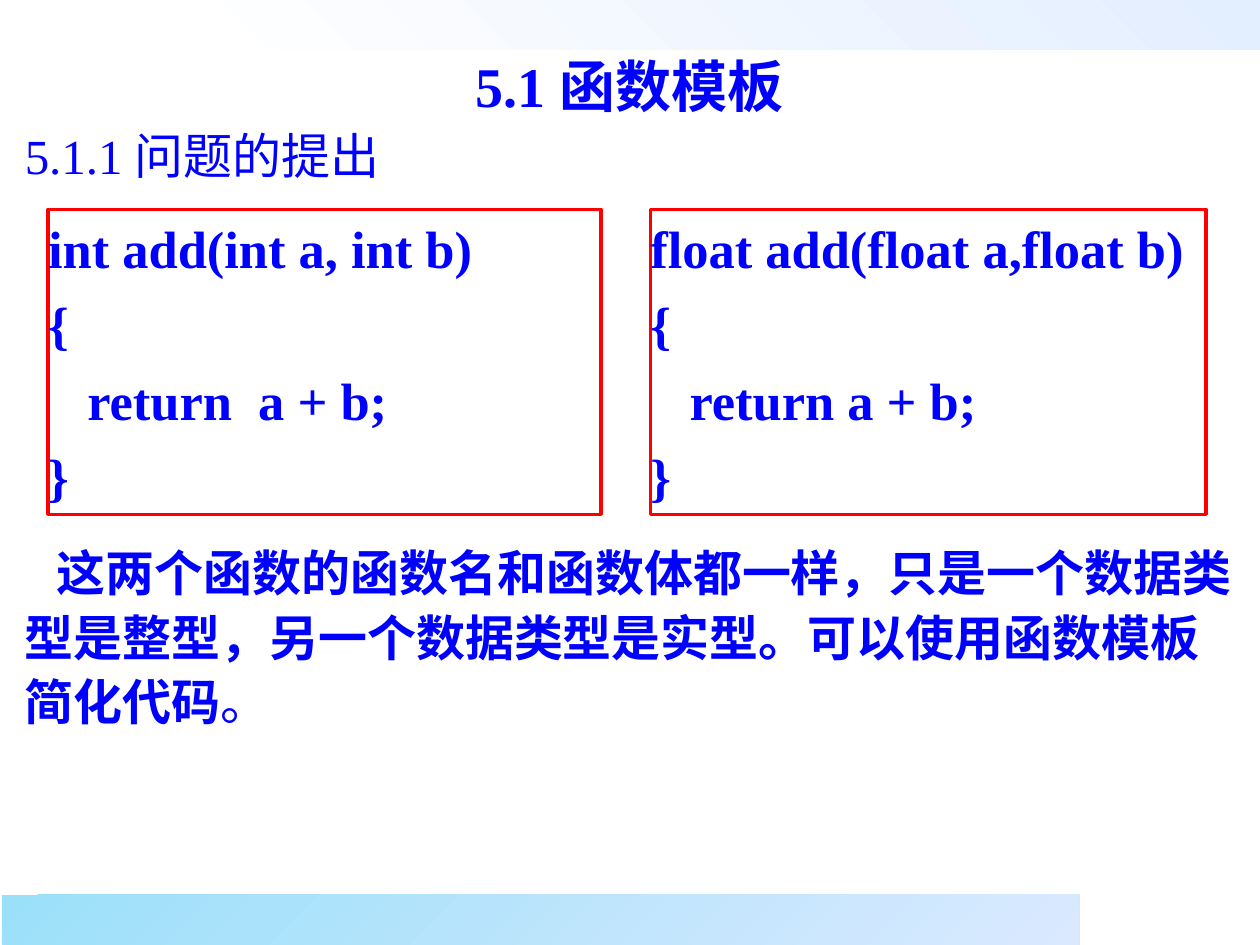
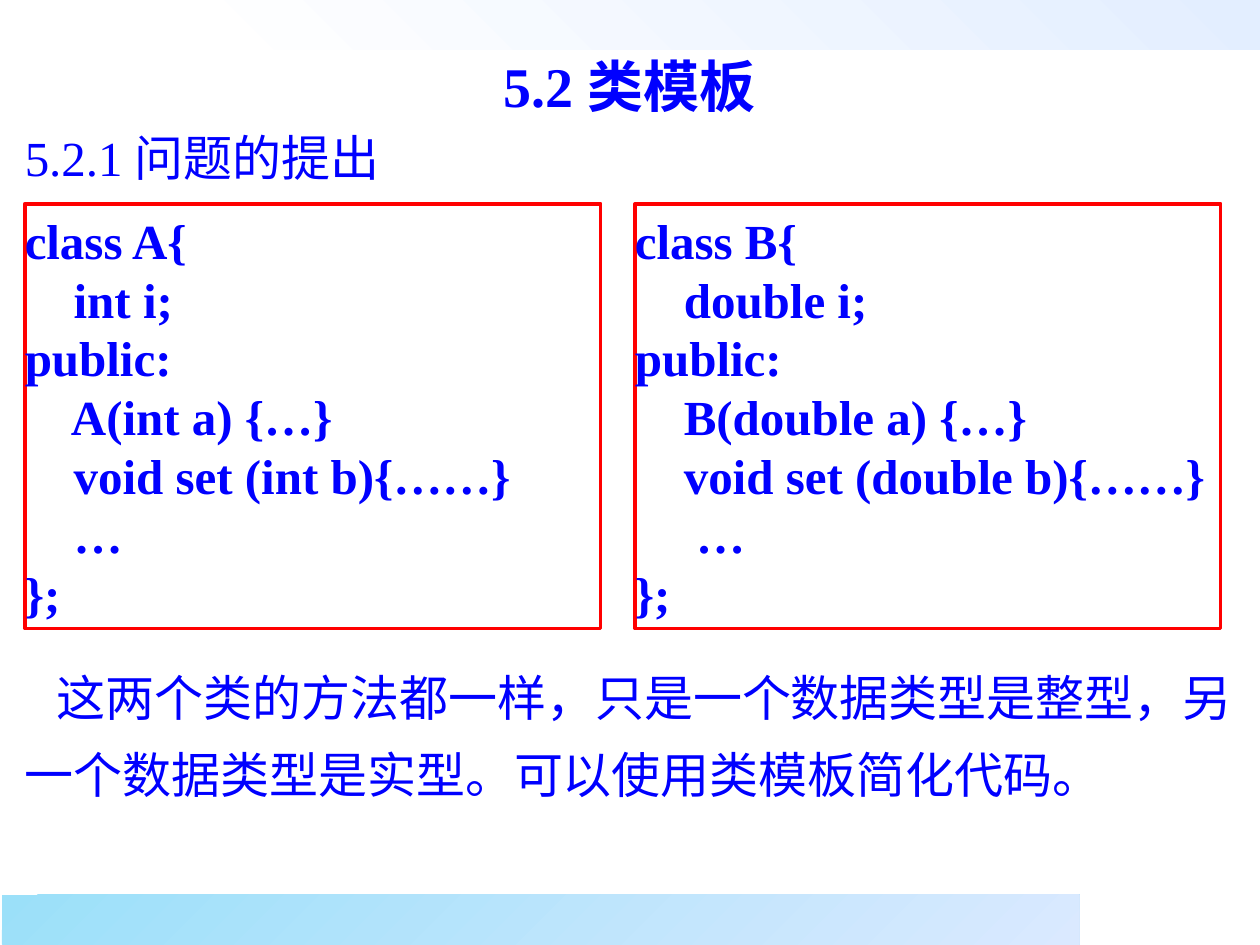
"""Build two lecture slides that motivate function templates and class templates."""
from lxml import etree
from pptx import Presentation
from pptx.dml.color import RGBColor
from pptx.enum.shapes import MSO_SHAPE
from pptx.enum.text import MSO_ANCHOR, PP_ALIGN
from pptx.oxml.ns import qn
from pptx.util import Cm, Pt

RECTANGLE = MSO_SHAPE.RECTANGLE
TOP, MIDDLE = MSO_ANCHOR.TOP, MSO_ANCHOR.MIDDLE
LEFT, CENTER = PP_ALIGN.LEFT, PP_ALIGN.CENTER
BLUE, RED = "0000FF", "FF0000"
SERIF, SANS = "Times New Roman", "Noto Sans CJK SC"
BANDS = [
    (3.91, 0, 21.49, "FFFFFF", "E3EEFF", 45),
    (0.04, 18.04, 21.72, "9BE0F9", "DAE9FF", 315),
]
TOPICS = [
    {
        "title": "5.1 函数模板",
        "heading": "5.1.1 问题的提出",
        "heading_top": 2.41,
        "heading_spacing": 1.1,
        "code_top": 4.22,
        "code_height": 6.15,
        "code_size": 30,
        "code_gap": 7.5,
        "code": [
            (0.97, 11.15, ["int add(int a, int b)", "{", "   return  a + b;", "}"]),
            (13.11, 11.2, ["float add(float a,float b)", "{", "   return a + b;", "}"]),
        ],
        "remark": "这两个函数的函数名和函数体都一样，只是一个数据类型是整型，"
                  "另一个数据类型是实型。可以使用函数模板简化代码",
        "remark_top": 10.82,
        "remark_height": 3.91,
        "remark_spacing": 1.1,
        "remark_bold": True,
    },
    {
        "title": "5.2 类模板",
        "heading": "5.2.1 问题的提出",
        "heading_top": 2.39,
        "heading_spacing": 1.15,
        "code_top": 4.11,
        "code_height": 8.56,
        "code_size": 28,
        "code_gap": 0,
        "code": [
            (0.5, 11.61, ["class A{", "    int i;", "public:", "    A(int a) {…}",
                          "    void set (int b){……}", "    …", "};"]),
            (12.8, 11.81, ["class B{", "    double i;", "public:", "    B(double a) {…}",
                           "    void set (double b){……}", "     …", "};"]),
        ],
        "remark": "这两个类的方法都一样，只是一个数据类型是整型，"
                  "另一个数据类型是实型。可以使用类模板简化代码",
        "remark_top": 13.09,
        "remark_height": 3.15,
        "remark_spacing": 1.31,
        "remark_bold": False,
    },
]


def color(hex_code):
    return RGBColor.from_string(hex_code)


def write(shape, lines, size, font=SERIF, bold=False, spacing=1.0, gap=0,
          align=LEFT, anchor=TOP, margins=(0, 0)):
    frame = shape.text_frame
    frame.word_wrap = True
    frame.vertical_anchor = anchor
    frame.margin_left = frame.margin_right = Cm(margins[0])
    frame.margin_top = frame.margin_bottom = Cm(margins[1])
    for number, line in enumerate(lines):
        paragraph = frame.add_paragraph() if number else frame.paragraphs[0]
        paragraph.add_run().text = line
        paragraph.alignment = align
        paragraph.line_spacing = spacing
        if number and gap:
            paragraph.space_before = Pt(gap)
        paragraph.font.size = Pt(size)
        paragraph.font.bold = bold
        paragraph.font.color.rgb = color(BLUE)
        paragraph.font.name = font
        defaults = paragraph._p.pPr.find(qn("a:defRPr"))
        etree.SubElement(defaults, qn("a:ea")).set("typeface", SANS)
    return frame.paragraphs[0]


deck = Presentation()
deck.slide_width, deck.slide_height = Cm(25.4), Cm(19.05)

for topic in TOPICS:
    slide = deck.slides.add_slide(deck.slide_layouts[6])
    shapes = slide.shapes

    for left, top, width, start, end, angle in BANDS:
        band = shapes.add_shape(RECTANGLE, Cm(left), Cm(top), Cm(width), Cm(1))
        band.shadow.inherit = False
        band.line.fill.background()
        band.fill.gradient()
        band.fill.gradient_angle = angle
        for stop, shade in zip(band.fill.gradient_stops, (start, end)):
            stop.color.rgb = color(shade)

    title = shapes.add_textbox(0, Cm(0.91), deck.slide_width, Cm(1.63))
    write(title, [topic["title"]], 32, bold=True, align=CENTER, anchor=MIDDLE,
          margins=(0.25, 0.13))

    heading = shapes.add_textbox(Cm(0.5), Cm(topic["heading_top"]), Cm(24.4), Cm(1.3))
    write(heading, [topic["heading"]], 28, spacing=topic["heading_spacing"])

    for left, width, lines in topic["code"]:
        listing = shapes.add_shape(RECTANGLE, Cm(left), Cm(topic["code_top"]),
                                   Cm(width), Cm(topic["code_height"]))
        listing.shadow.inherit = False
        listing.fill.background()
        listing.line.color.rgb = color(RED)
        listing.line.width = Pt(2)
        write(listing, lines, topic["code_size"], bold=True,
              gap=topic["code_gap"], margins=(0, 0.13))

    remark = shapes.add_textbox(Cm(0.5), Cm(topic["remark_top"]),
                                Cm(24.4), Cm(topic["remark_height"]))
    sentence = write(remark, [topic["remark"]], 28, font=SANS, bold=topic["remark_bold"],
                     spacing=topic["remark_spacing"])
    sentence._p.pPr.set("indent", str(Cm(0.65)))
    full_stop = sentence.add_run()
    full_stop.text = "。"
    full_stop.font.bold = False

deck.save("out.pptx")
